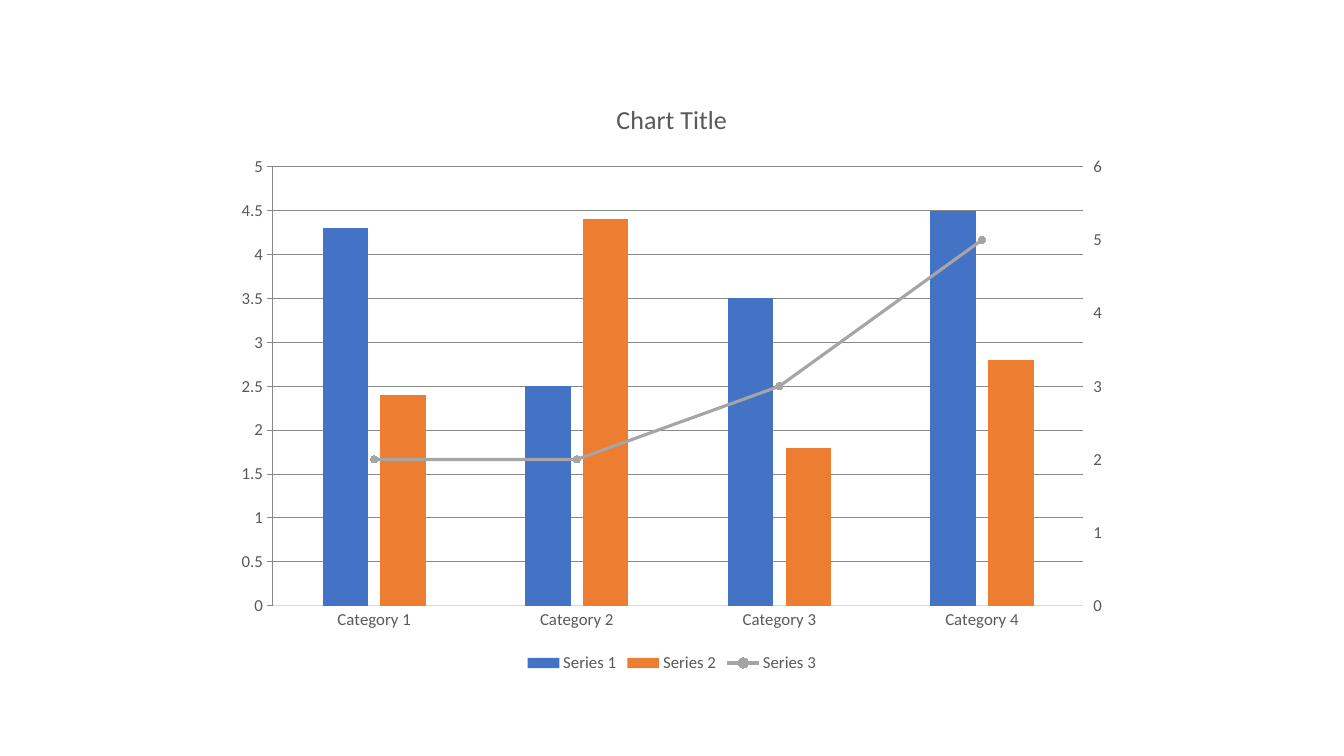
from dataclasses import dataclass

from pptx import Presentation
from pptx.chart.axis import ValueAxis
from pptx.chart.data import CategoryChartData
from pptx.dml.color import RGBColor
from pptx.enum.chart import XL_CHART_TYPE, XL_LEGEND_POSITION, XL_MARKER_STYLE, XL_TICK_MARK
from pptx.oxml import parse_xml
from pptx.oxml.ns import qn
from pptx.util import Cm, Pt

COLUMNS = XL_CHART_TYPE.COLUMN_CLUSTERED
LEGEND_BOTTOM = XL_LEGEND_POSITION.BOTTOM
CIRCLE = XL_MARKER_STYLE.CIRCLE
NO_TICK = XL_TICK_MARK.NONE
TICK_OUTSIDE = XL_TICK_MARK.OUTSIDE
BLANK_LAYOUT = 6
CHART_NAMESPACE = "http://schemas.openxmlformats.org/drawingml/2006/chart"
RIGHT_CATEGORY_ID, RIGHT_VALUE_ID = 50010, 50020


@dataclass(frozen=True)
class Theme:
    """Colours, font and type sizes of the slide."""
    font: str = "Calibri"
    text: RGBColor = RGBColor(0x59, 0x59, 0x59)
    rule: RGBColor = RGBColor(0xD9, 0xD9, 0xD9)
    columns: tuple = (RGBColor(0x44, 0x72, 0xC4), RGBColor(0xED, 0x7D, 0x31))
    trend: RGBColor = RGBColor(0xA5, 0xA5, 0xA5)
    label_size: Pt = Pt(12)
    title_size: Pt = Pt(18.6)
    rule_width: Pt = Pt(0.75)
    trend_width: Pt = Pt(2.25)


THEME = Theme()
CATEGORIES = ["Category 1", "Category 2", "Category 3", "Category 4"]
SERIES = {
    "Series 1": (4.3, 2.5, 3.5, 4.5),
    "Series 2": (2.4, 4.4, 1.8, 2.8),
    "Series 3": (2, 2, 3, 5),
}


def set_font(font, size):
    """Apply the theme's font and text colour at the given size."""
    font.name = THEME.font
    font.size = size
    font.bold = False
    font.color.rgb = THEME.text


def set_rule(line):
    """Draw a line as a thin grey rule."""
    line.color.rgb = THEME.rule
    line.width = THEME.rule_width


def chart_element(body):
    """Return a chart XML element built from its tag and content."""
    tag = body.split(">", 1)[0]
    return parse_xml(body.replace(tag, f'{tag} xmlns:c="{CHART_NAMESPACE}"', 1))


def add_chart(slide):
    """Add the column chart holding all series and return it."""
    data = CategoryChartData()
    data.categories = CATEGORIES
    for name, values in SERIES.items():
        data.add_series(name, values)
    frame = slide.shapes.add_chart(COLUMNS, Cm(5.64), Cm(2), Cm(22.58), Cm(15.06), data)
    return frame.chart


def move_last_series_to_right_axis(chart):
    """Turn the last series into a line on a second axis, which is returned."""
    columns = chart.plots[0]
    series = columns.series[len(SERIES) - 1]._element
    for column_setting in series.findall(qn("c:invertIfNegative")):
        series.remove(column_setting)
    line_chart = chart_element(
        '<c:lineChart><c:grouping val="stacked"/><c:varyColors val="0"/><c:marker val="1"/>'
        f'<c:axId val="{RIGHT_CATEGORY_ID}"/><c:axId val="{RIGHT_VALUE_ID}"/></c:lineChart>')
    line_chart.insert(2, series)
    columns._element.addnext(line_chart)
    category_axis = chart_element(
        f'<c:catAx><c:axId val="{RIGHT_CATEGORY_ID}"/>'
        '<c:scaling><c:orientation val="minMax"/></c:scaling><c:delete val="1"/>'
        f'<c:axPos val="b"/><c:crossAx val="{RIGHT_VALUE_ID}"/><c:crosses val="autoZero"/></c:catAx>')
    value_axis = chart_element(
        f'<c:valAx><c:axId val="{RIGHT_VALUE_ID}"/>'
        '<c:scaling><c:orientation val="minMax"/></c:scaling><c:delete val="0"/>'
        '<c:axPos val="r"/><c:numFmt formatCode="General" sourceLinked="0"/>'
        f'<c:tickLblPos val="nextTo"/><c:crossAx val="{RIGHT_CATEGORY_ID}"/>'
        '<c:crosses val="max"/><c:crossBetween val="between"/></c:valAx>')
    chart.value_axis._element.addnext(value_axis)
    value_axis.addnext(category_axis)
    return ValueAxis(value_axis)


def style_value_axis(axis, maximum, step, tick):
    """Set the scale and look of a value axis without a visible line."""
    axis.minimum_scale = 0
    axis.maximum_scale = maximum
    axis.major_unit = step
    axis.major_tick_mark = tick
    axis.minor_tick_mark = NO_TICK
    axis.format.line.fill.background()
    set_font(axis.tick_labels.font, THEME.label_size)


def style_category_axis(axis):
    """Set the look of the category axis."""
    axis.major_tick_mark = NO_TICK
    axis.minor_tick_mark = NO_TICK
    set_rule(axis.format.line)
    set_font(axis.tick_labels.font, THEME.label_size)


def style_columns(plot):
    """Space and colour the columns."""
    plot.gap_width = 219
    plot.overlap = -27
    plot.vary_by_categories = False
    for series, color in zip(plot.series, THEME.columns):
        series.invert_if_negative = False
        series.format.fill.solid()
        series.format.fill.fore_color.rgb = color


def style_trend(series):
    """Draw the line series with round markers."""
    series.smooth = False
    series.format.line.color.rgb = THEME.trend
    series.format.line.width = THEME.trend_width
    marker = series.marker
    marker.style = CIRCLE
    marker.size = 5
    marker.format.fill.solid()
    marker.format.fill.fore_color.rgb = THEME.trend
    marker.format.line.color.rgb = THEME.trend


def add_title_and_legend(chart):
    """Add the chart title and the legend below the plot."""
    chart.has_title = True
    chart.chart_title.include_in_layout = False
    text_frame = chart.chart_title.text_frame
    text_frame.text = "Chart Title"
    set_font(text_frame.paragraphs[0].font, THEME.title_size)
    chart.has_legend = True
    chart.legend.position = LEGEND_BOTTOM
    chart.legend.include_in_layout = False
    set_font(chart.legend.font, THEME.label_size)


def main():
    """Build the slide and save it."""
    presentation = Presentation()
    presentation.slide_width = Cm(33.87)
    presentation.slide_height = Cm(19.05)
    slide = presentation.slides.add_slide(presentation.slide_layouts[BLANK_LAYOUT])
    chart = add_chart(slide)
    set_font(chart.font, THEME.label_size)
    right_axis = move_last_series_to_right_axis(chart)
    style_category_axis(chart.category_axis)
    style_value_axis(chart.value_axis, 5, 0.5, NO_TICK)
    style_value_axis(right_axis, 6, 1, TICK_OUTSIDE)
    set_rule(chart.value_axis.major_gridlines.format.line)
    style_columns(chart.plots[0])
    style_trend(chart.plots[1].series[0])
    add_title_and_legend(chart)
    presentation.save("out.pptx")


if __name__ == "__main__":
    main()
